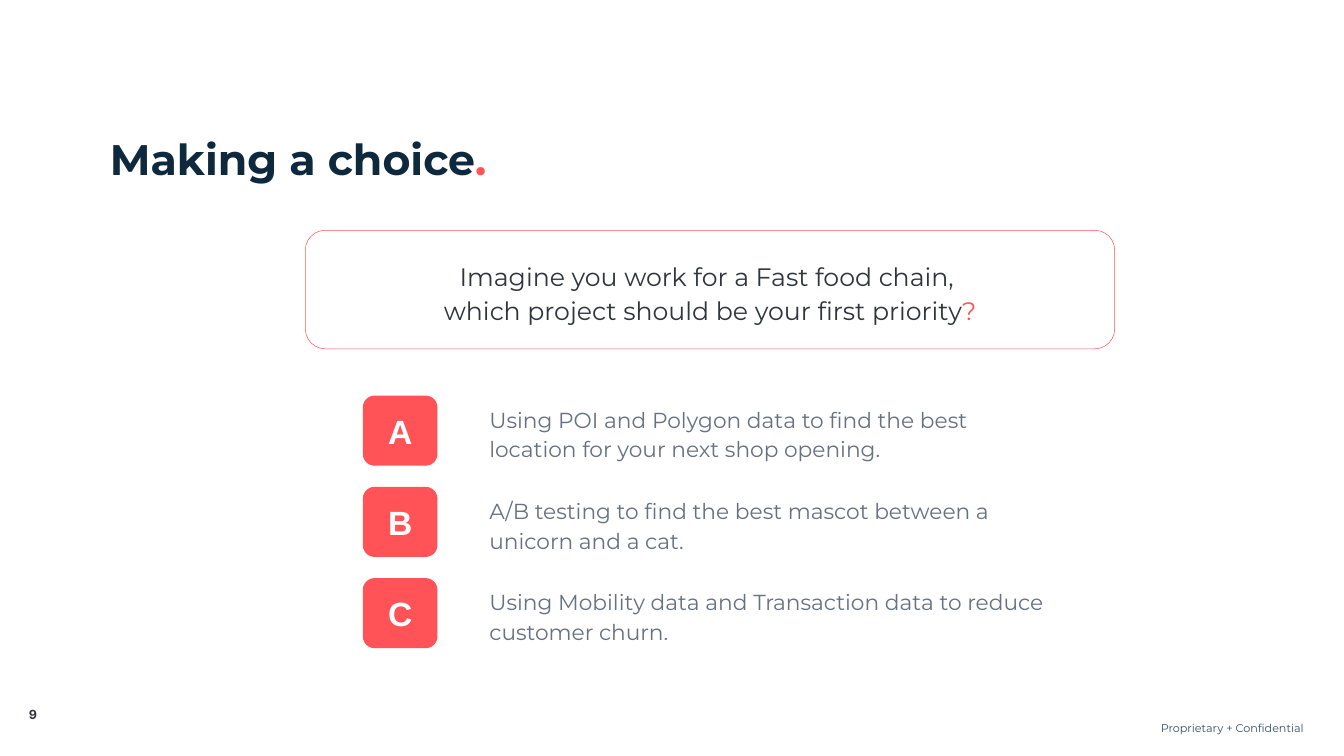
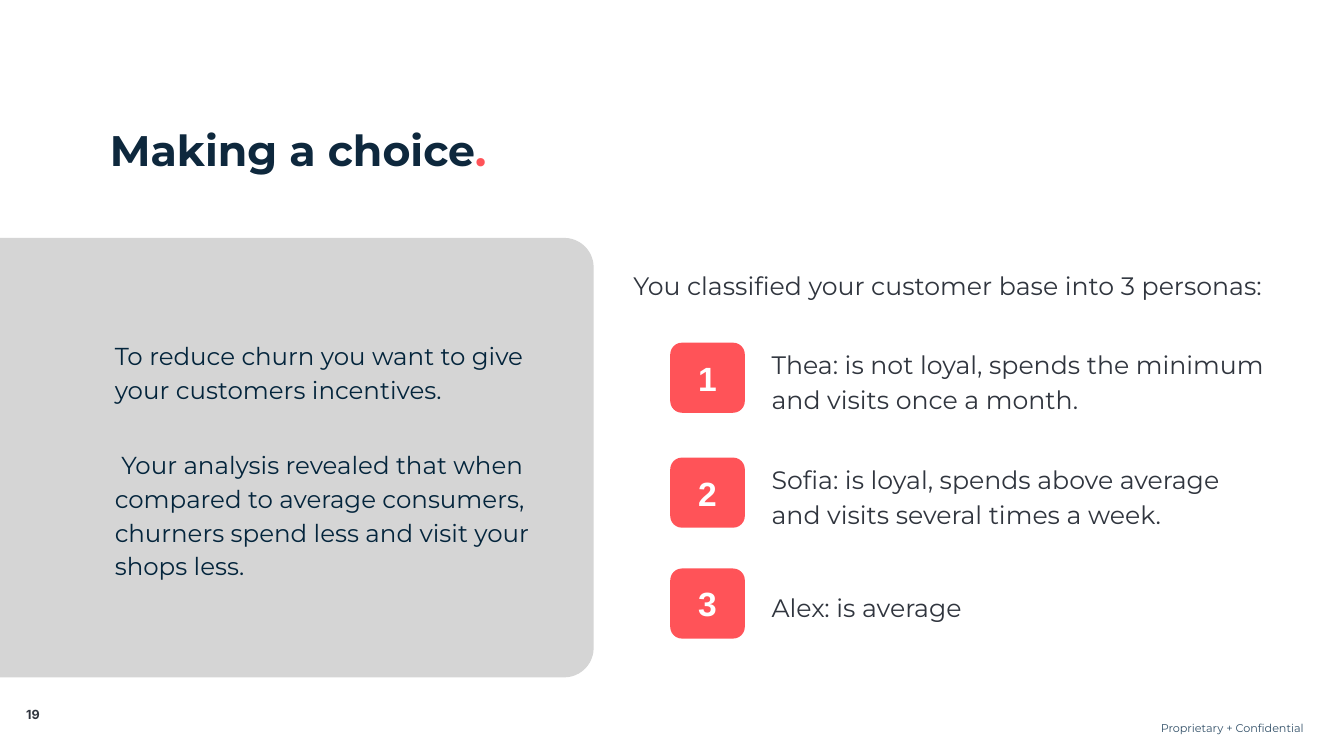
from dataclasses import dataclass

import pptx
import pptx.dml.color
import pptx.enum.shapes
import pptx.enum.text
import pptx.util

SHAPE = pptx.enum.shapes.MSO_SHAPE
ALIGN = pptx.enum.text.PP_ALIGN
ANCHOR = pptx.enum.text.MSO_ANCHOR
FIT = pptx.enum.text.MSO_AUTO_SIZE
Pt = pptx.util.Pt
Inches = pptx.util.Inches

WIDTH, HEIGHT = Inches(26.67), Inches(15)
COLUMNS = ROWS = 100
TITLE_ONLY = 5


@dataclass(frozen=True)
class Style:
    size: int
    color: str
    font: str = "Montserrat"
    bold: bool = False
    spacing: float = 1.0


@dataclass(frozen=True)
class Theme:
    accent: str = "FF5358"
    panel: str = "D5D5D5"
    title: Style = Style(61, "0E283D", bold=True, spacing=1.2)
    body: Style = Style(36, "30353E", spacing=1.15)
    option: Style = Style(31, "677180", spacing=1.15)
    analysis: Style = Style(35, "04253C", spacing=1.15)
    badge: Style = Style(48, "FFFFFF", "Arial", True)
    number: Style = Style(18, "30353E", "Inter", True)
    footer: Style = Style(16, "335169")


THEME = Theme()


@dataclass(frozen=True)
class Box:
    x: float
    y: float
    w: float
    h: float

    def inside(self, x, y, w, h):
        return Box(self.x + x, self.y + y, w, h)

    def emu(self):
        col, row = WIDTH / COLUMNS, HEIGHT / ROWS
        return [round(v) for v in
                (self.x * col, self.y * row, self.w * col, self.h * row)]


PAGE = Box(0, 0, COLUMNS, ROWS)


def rgb(color):
    return pptx.dml.color.RGBColor.from_string(color)


def format_frame(tf, inset=0.0, fit=FIT.SHAPE_TO_FIT_TEXT, anchor=ANCHOR.TOP):
    tf.word_wrap = True
    tf.auto_size = fit
    tf.vertical_anchor = anchor
    tf.margin_left = tf.margin_right = Inches(inset)
    tf.margin_top = tf.margin_bottom = Inches(inset)


def write(p, text, style, align=ALIGN.LEFT, ending=""):
    p.text = text
    p.alignment = align
    p.line_spacing = style.spacing
    p.font.size = Pt(style.size)
    p.font.name = style.font
    p.font.bold = style.bold
    p.font.color.rgb = rgb(style.color)
    if ending:
        r = p.add_run()
        r.text = ending
        r.font.color.rgb = rgb(THEME.accent)


def add_text(slide, box, text, style, align=ALIGN.LEFT, ending="", inset=0.0,
             fit=FIT.SHAPE_TO_FIT_TEXT):
    tf = slide.shapes.add_textbox(*box.emu()).text_frame
    format_frame(tf, inset, fit)
    write(tf.paragraphs[0], text, style, align, ending)
    return tf


def add_round_rect(slide, box, corner, fill=None, line=None):
    sp = slide.shapes.add_shape(SHAPE.ROUNDED_RECTANGLE, *box.emu())
    sp.shadow.inherit = False
    sp.adjustments[0] = corner
    if fill:
        sp.fill.solid()
        sp.fill.fore_color.rgb = rgb(fill)
    else:
        sp.fill.background()
    if line:
        sp.line.color.rgb = rgb(line)
        sp.line.width = Pt(0.75)
    else:
        sp.line.fill.background()
    return sp


def add_page(prs, number, title, title_row):
    slide = prs.slides.add_slide(prs.slide_layouts[TITLE_ONLY])
    sp = slide.shapes.title
    sp.left, sp.top, sp.width, sp.height = PAGE.inside(8.17, title_row, 36.03, 6.87).emu()
    format_frame(sp.text_frame, fit=FIT.NONE)
    write(sp.text_frame.paragraphs[0], title, THEME.title, ending=".")
    add_text(slide, PAGE.inside(80.06, 94.8, 17.32, 2.33), "Proprietary + Confidential",
             THEME.footer, ALIGN.RIGHT, inset=0.1, fit=FIT.NONE)
    add_text(slide, PAGE.inside(1.2, 93.47, 2.51, 2), str(number),
             THEME.number, ALIGN.CENTER)
    return slide


def add_badge_row(slide, box, label, text, style, text_column, text_height):
    sp = add_round_rect(slide, box.inside(0, 0, 5.55, box.h), 0.167, THEME.accent)
    format_frame(sp.text_frame, 0.1, FIT.NONE, ANCHOR.MIDDLE)
    write(sp.text_frame.paragraphs[0], label, THEME.badge, ALIGN.CENTER)
    text_box = box.inside(text_column, (box.h - text_height) / 2,
                          box.w - text_column, text_height)
    add_text(slide, text_box, text, style)


def add_question(slide, box, text):
    add_round_rect(slide, box, 0.167, line=THEME.accent)
    add_text(slide, box.inside(4.05, 3.46, 52.12, 8.67), text, THEME.body,
             ALIGN.CENTER, ending="?")


def add_options(slide, box, options):
    for i, (label, text) in enumerate(options):
        row = box.inside(0, i * 12.07, box.w, 9.27)
        add_badge_row(slide, row, label, text, THEME.option, 9.41, 7.47)


def add_analysis(slide, box, finding, detail):
    add_round_rect(slide, box, 0.067, THEME.panel)
    tf = add_text(slide, box.inside(11.36, 12.4, 32.85, 33.33), finding,
                  THEME.analysis, inset=0.1)
    p = tf.add_paragraph()
    p._p.get_or_add_pPr().set("indent", str(Inches(0.13)))
    write(p, detail, THEME.analysis)
    p.space_before = Pt(59)
    p.space_after = Pt(10)


def add_personas(slide, box, heading, personas):
    add_text(slide, box.inside(0, 0, box.w, 4.07), heading, THEME.body)
    for i, (row, width, height, text) in enumerate(personas, 1):
        add_badge_row(slide, box.inside(2.74, row, width, 9.27), str(i), text,
                      THEME.body, 7.54, height)


def build_options_slide(prs):
    slide = add_page(prs, 9, "Making a choice", 16.2)
    add_question(slide, PAGE.inside(22.72, 30.47, 60.22, 15.67),
                 "Imagine you work for a Fast food chain, \v"
                 "which project should be your first priority")
    add_options(slide, PAGE.inside(27, 52.33, 51.67, 33.41), [
        ("A", "Using POI and Polygon data to find the best location for your "
              "next shop opening."),
        ("B", "A/B testing to find the best mascot between a unicorn and a cat."),
        ("C", "Using Mobility data and Transaction data to reduce customer churn."),
    ])


def build_personas_slide(prs):
    slide = add_page(prs, 19, "Making a choice", 15.07)
    add_analysis(slide, PAGE.inside(-3.19, 31.47, 47.36, 58.13),
                 "To reduce churn you want to give your customers incentives.",
                 "Your analysis revealed that when compared to average consumers, "
                 "churners spend less and visit your shops less.")
    add_personas(slide, PAGE.inside(47.13, 35.13, 50.17, 49.34),
                 "You classified your customer base into 3 personas:", [
        (10.2, 45.75, 8.67, "Thea: is not loyal, spends the minimum and visits "
                            "once a month."),
        (25.4, 43.57, 8.67, "Sofia: is loyal, spends above average and visits "
                            "several times a week."),
        (40.07, 47.44, 4.07, "Alex: is average"),
    ])


def main():
    prs = pptx.Presentation()
    prs.slide_width, prs.slide_height = WIDTH, HEIGHT
    build_options_slide(prs)
    build_personas_slide(prs)
    prs.save("out.pptx")


if __name__ == "__main__":
    main()
